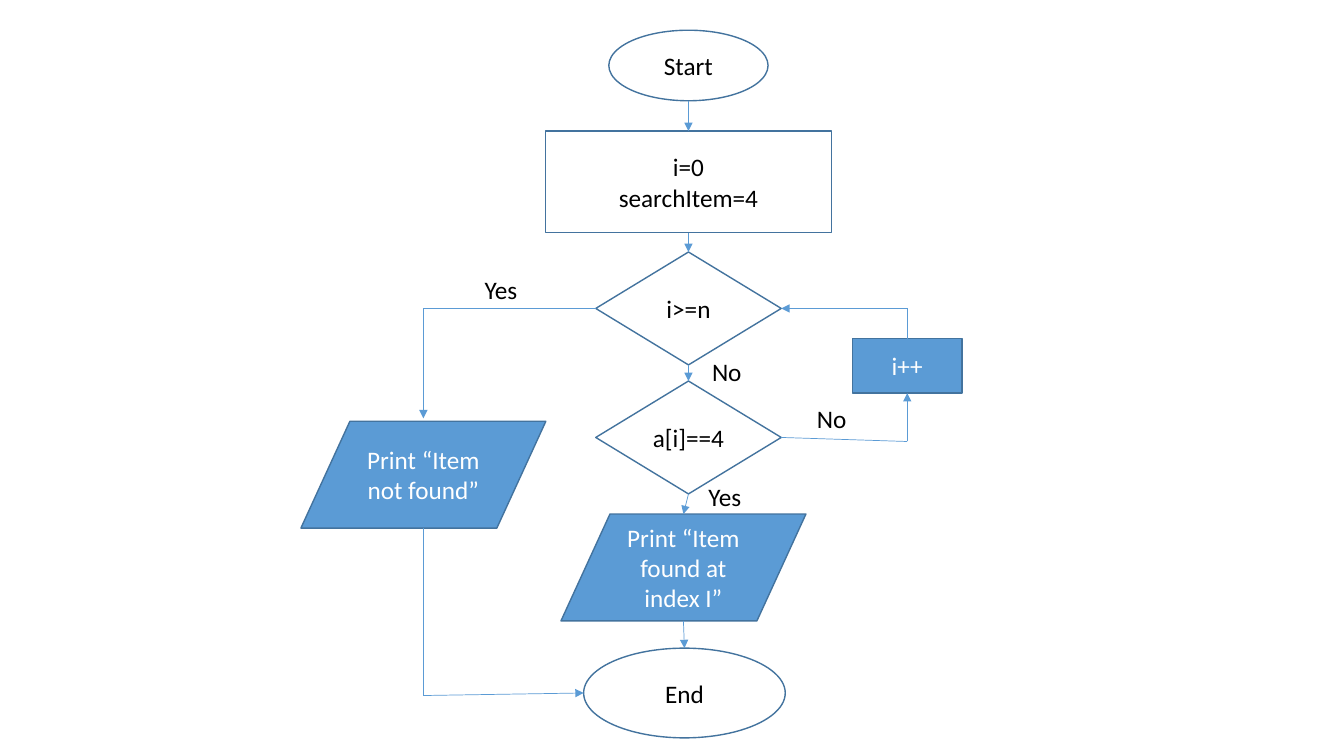
from collections import namedtuple
from itertools import pairwise

from lxml import etree
from pptx import Presentation
from pptx import util as u
from pptx.dml.color import RGBColor
from pptx.enum import shapes, text
from pptx.oxml.ns import qn

COLUMNS, ROWS = 133.33, 75
BLUE, EDGE, BLACK, WHITE = "5B9BD5", "43739E", "000000", "FFFFFF"
KIND = shapes.MSO_SHAPE
Box = namedtuple("Box", "left top width height")
Grid = namedtuple("Grid", "page box")


def colour(value):
    """Turn a hex string into a colour."""
    return RGBColor.from_string(value)


def place(grid, column, row):
    """Return the slide position of a grid point."""
    box = grid.box
    return (u.Emu(round(box.left + box.width * column / COLUMNS)),
            u.Emu(round(box.top + box.height * row / ROWS)))


def span_of(grid, box):
    """Return left, top, width and height of a grid box on the slide."""
    left, top = place(grid, box.left, box.top)
    right, bottom = place(grid, box.left + box.width, box.top + box.height)
    return left, top, right - left, bottom - top


def write(shape, lines, ink):
    """Write centred lines of text into a shape."""
    frame = shape.text_frame
    frame.word_wrap = True
    frame.vertical_anchor = text.MSO_ANCHOR.MIDDLE
    for index, line in enumerate(lines):
        para = frame.add_paragraph() if index else frame.paragraphs[0]
        para.alignment = text.PP_ALIGN.CENTER
        span = para.add_run()
        span.text = line
        span.font.name = "Calibri"
        span.font.size = u.Pt(18)
        span.font.color.rgb = colour(ink)


def add_node(grid, kind, centre, top, width, height, *lines, fill=None):
    """Draw a flowchart step centred on a column and return its box."""
    box = Box(centre - width / 2, top, width, height)
    shape = grid.page.shapes.add_shape(kind, *span_of(grid, box))
    shape.shadow.inherit = False
    if fill:
        shape.fill.solid()
        shape.fill.fore_color.rgb = colour(fill)
    else:
        shape.fill.background()
    shape.line.color.rgb = colour(EDGE)
    shape.line.width = u.Pt(1)
    write(shape, lines, WHITE if fill else BLACK)
    return box


def add_label(grid, left, top, words):
    """Write the answer beside a branch."""
    box = Box(left, top, 8, 3.6)
    write(grid.page.shapes.add_textbox(*span_of(grid, box)), [words], BLACK)


def add_route(grid, *points):
    """Join points with straight lines, the last one ending in an arrow."""
    for start, end in pairwise(points):
        line = grid.page.shapes.add_connector(
            shapes.MSO_CONNECTOR.STRAIGHT, *place(grid, *start), *place(grid, *end))
        line.line.color.rgb = colour(BLUE)
        line.line.width = u.Pt(0.5)
        properties = line.element.spPr
        etree.SubElement(properties, qn("a:effectLst"))
    etree.SubElement(properties.find(qn("a:ln")), qn("a:tailEnd"), type="triangle")


def side(box, across, down):
    """Return the point at the given shares of a box."""
    return box.left + box.width * across, box.top + box.height * down


def top_of(box):
    """Return the middle of the upper edge."""
    return side(box, 0.5, 0)


def bottom_of(box):
    """Return the middle of the lower edge."""
    return side(box, 0.5, 1)


def draw_flowchart(page, box):
    """Draw the linear search flowchart inside a box."""
    grid = Grid(page, box)
    spine, exit_column, loop_column = 68.3, 42, 90
    start = add_node(grid, KIND.OVAL, spine, 3, 15.8, 7, "Start")
    setup = add_node(grid, KIND.RECTANGLE, spine, 13, 28.4, 10.1, "i=0", "searchItem=4")
    at_end = add_node(grid, KIND.FLOWCHART_DECISION, spine, 25, 18.4, 11.2, "i>=n")
    match = add_node(grid, KIND.FLOWCHART_DECISION, spine, 37.8, 18.4, 11.2, "a[i]==4")
    step = add_node(grid, KIND.RECTANGLE, loop_column, 33.6, 10.9, 5.4, "i++", fill=BLUE)
    missing = add_node(grid, KIND.FLOWCHART_DATA, exit_column, 41.8, 24.3, 10.6,
                       "Print “Item not found”", fill=BLUE)
    found = add_node(grid, KIND.FLOWCHART_DATA, 67.8, 51, 24.3, 10.6,
                     "Print “Item found at index I”", fill=BLUE)
    end = add_node(grid, KIND.OVAL, 67.9, 64.3, 20, 8.9, "End")

    for upper, lower in pairwise([start, setup, at_end, match, found, end]):
        add_route(grid, bottom_of(upper), top_of(lower))
    left_exit, right_entry = side(at_end, 0, 0.5), side(at_end, 1, 0.5)
    add_route(grid, left_exit, (exit_column, left_exit[1]), (exit_column, 41.5))
    add_route(grid, bottom_of(missing), (exit_column, 69), side(end, 0, 0.5))
    add_route(grid, side(match, 1, 0.5), (loop_column, 43.8), bottom_of(step))
    add_route(grid, top_of(step), (loop_column, right_entry[1]), right_entry)

    for left, top, words in [(45.7, 26.9, "Yes"), (68.1, 35.1, "No"),
                             (67.9, 47.5, "Yes"), (78.5, 39.7, "No")]:
        add_label(grid, left, top, words)


deck = Presentation()
deck.slide_width, deck.slide_height = u.Inches(13.33), u.Inches(7.5)
page = deck.slides.add_slide(deck.slide_layouts[6])
draw_flowchart(page, Box(0, 0, deck.slide_width, deck.slide_height))
deck.save("out.pptx")
